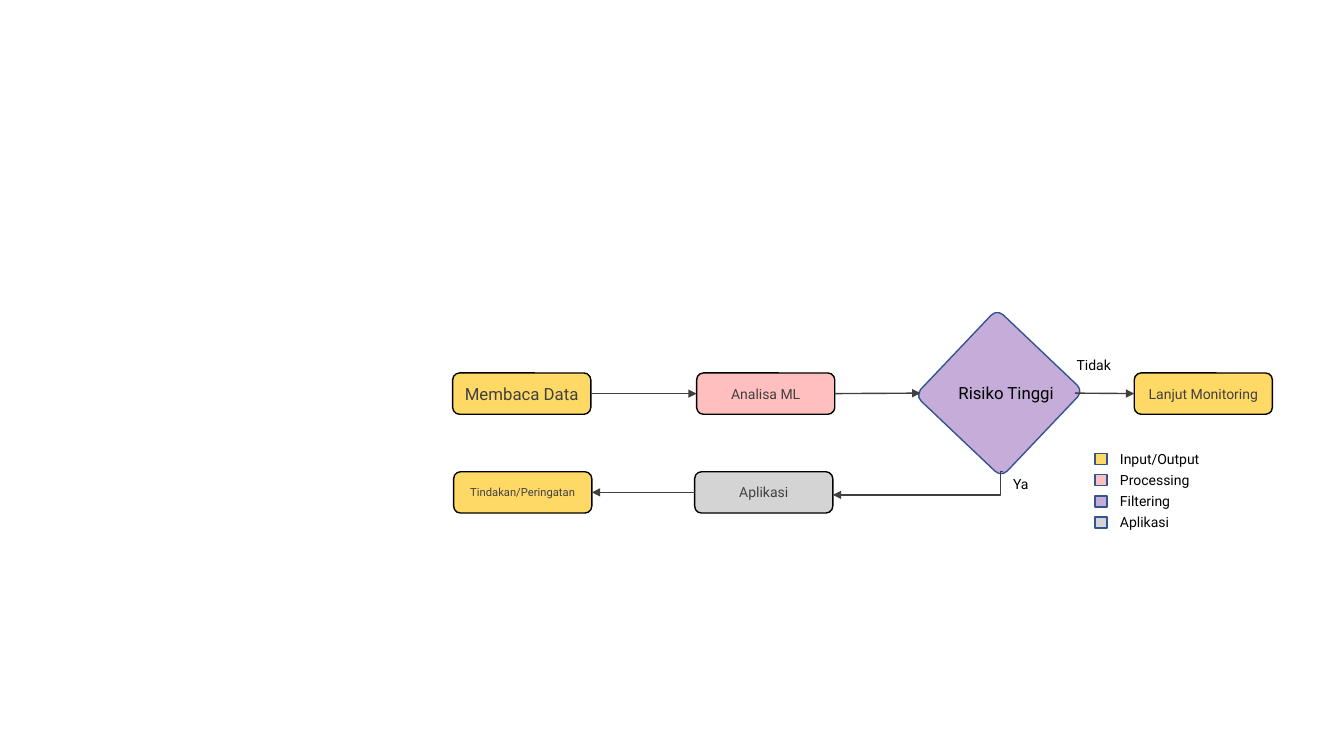
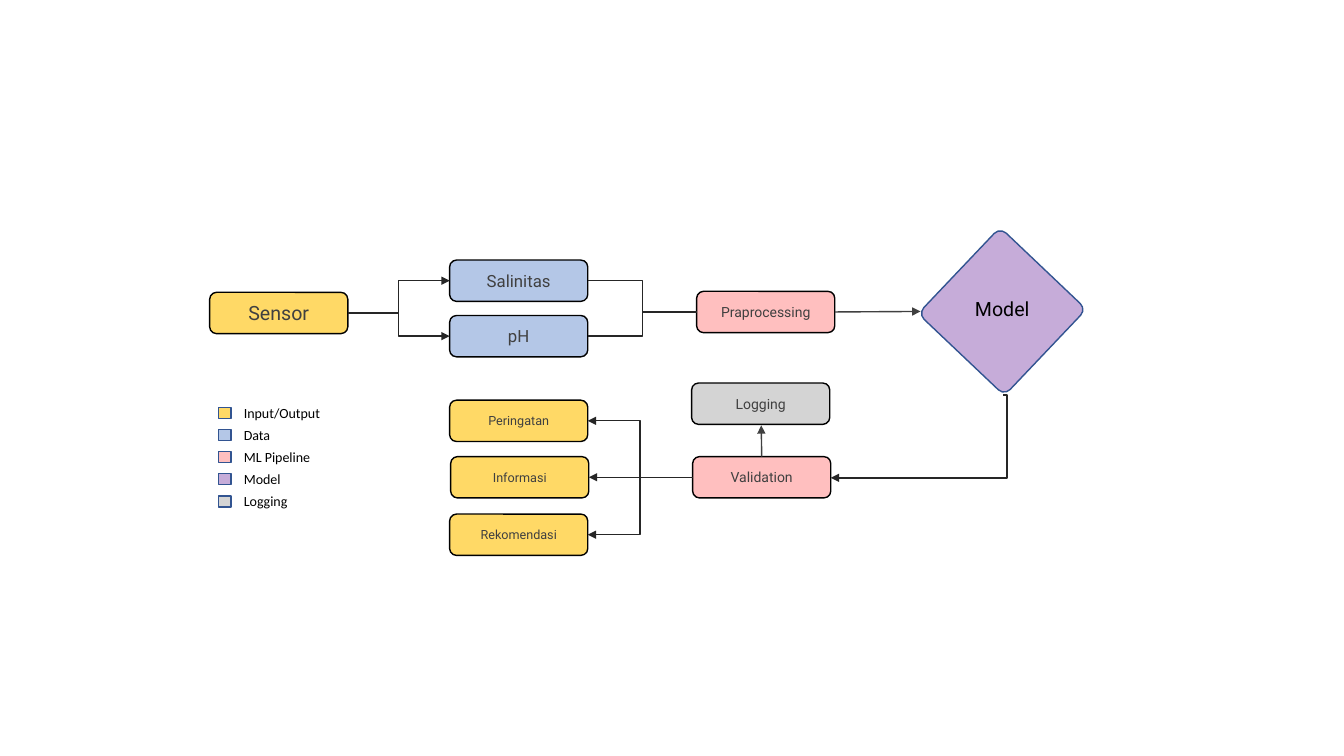
from dataclasses import dataclass

from lxml import etree
from pptx import Presentation
from pptx.dml.color import RGBColor
from pptx.enum.shapes import MSO_CONNECTOR, MSO_SHAPE
from pptx.enum.text import MSO_ANCHOR, PP_ALIGN
from pptx.oxml.ns import qn
from pptx.util import Inches, Pt

ROUNDED, SQUARE = MSO_SHAPE.ROUNDED_RECTANGLE, MSO_SHAPE.RECTANGLE
STRAIGHT, ELBOW = MSO_CONNECTOR.STRAIGHT, MSO_CONNECTOR.ELBOW
LEFT, CENTER, MIDDLE = PP_ALIGN.LEFT, PP_ALIGN.CENTER, MSO_ANCHOR.MIDDLE
# Connection sites of a rectangle
TOP_SITE, LEFT_SITE, RIGHT_SITE = 0, 1, 3


@dataclass(frozen=True)
class Theme:
    yellow: str = "FFD966"
    blue: str = "B4C7E7"
    pink: str = "FFBFBF"
    purple: str = "C6ACD9"
    grey: str = "D4D4D4"
    black: str = "000000"
    text: str = "404040"
    edge: str = "325491"
    arrow: str = "404040"
    branch: str = "262626"
    font: str = "Roboto"
    legend_font: str = "Calibri"
    tiny: int = 8
    small: int = 9
    body: int = 10
    large: int = 12
    huge: int = 14
    line: int = 1


T = Theme()
BOX_W, BOX_H = 1.37, 0.41
DIAMOND = 1.18


def block(s, x, y, fill, text="", size=T.body, w=BOX_W, h=BOX_H, line=T.black, geom=ROUNDED):
    """Add a filled, outlined shape with centred text."""
    sp = s.shapes.add_shape(geom, Inches(x), Inches(y), Inches(w), Inches(h))
    sp.shadow.inherit = False
    sp.fill.solid()
    sp.fill.fore_color.rgb = RGBColor.from_string(fill)
    sp.line.color.rgb = RGBColor.from_string(line)
    sp.line.width = Pt(T.line)
    if text:
        tf = sp.text_frame
        tf.margin_left = tf.margin_right = 0
        tf.vertical_anchor = MIDDLE
        p = tf.paragraphs[0]
        p.alignment = CENTER
        r = p.add_run()
        r.text = text
        r.font.name, r.font.size = T.font, Pt(size)
        r.font.color.rgb = RGBColor.from_string(T.text)
    return sp


def link(s, start, end, kind=STRAIGHT, color=T.arrow, head=True, bend=None):
    """Join two ends, each a (shape, site) pair or an (x, y) point in inches."""
    cxn = s.shapes.add_connector(kind, 0, 0, 0, 0)
    if isinstance(start[0], float):
        cxn.begin_x, cxn.begin_y = Inches(start[0]), Inches(start[1])
    else:
        cxn.begin_connect(*start)
    if isinstance(end[0], float):
        cxn.end_x, cxn.end_y = Inches(end[0]), Inches(end[1])
    else:
        cxn.end_connect(*end)
    cxn.line.color.rgb = RGBColor.from_string(color)
    cxn.line.width = Pt(T.line)
    props = cxn._element.spPr
    if head:
        etree.SubElement(cxn.line._get_or_add_ln(), qn("a:tailEnd"), type="triangle")
    if bend is not None:
        guides = props.find(qn("a:prstGeom")).get_or_add_avLst()
        etree.SubElement(guides, qn("a:gd"), name="adj1", fmla=f"val {bend}")
    etree.SubElement(props, qn("a:effectLst"))


prs = Presentation()
prs.slide_width, prs.slide_height = Inches(13.33), Inches(7.5)
blank = prs.slide_layouts[6]
risk = prs.slides.add_slide(blank)
pipeline = prs.slides.add_slide(blank)

# Decision diamonds
for s, x, y in ((risk, 9.32, 3.31), (pipeline, 9.35, 2.5)):
    sp = block(s, x, y, T.purple, w=DIAMOND, h=DIAMOND, line=T.edge)
    sp.adjustments[0] = 0.07
    sp.rotation = 133.5

# Slide 1: risk flow
read = block(risk, 4.49, 3.7, T.yellow, "Membaca Data", T.large)
analysis = block(risk, 6.91, 3.7, T.pink, "Analisa ML")
monitor = block(risk, 11.25, 3.7, T.yellow, "Lanjut Monitoring")
app = block(risk, 6.89, 4.68, T.grey, "Aplikasi")
action = block(risk, 4.5, 4.68, T.yellow, "Tindakan/Peringatan", T.tiny)

link(risk, (read, RIGHT_SITE), (analysis, LEFT_SITE))
link(risk, (analysis, RIGHT_SITE), (9.13, 3.9))
link(risk, (10.66, 3.9), (monitor, LEFT_SITE))
link(risk, (9.95, 4.68), (8.26, 4.91), ELBOW, bend=1500)
link(risk, (app, LEFT_SITE), (action, RIGHT_SITE))

# Slide 2: model pipeline
sensor = block(pipeline, 2.08, 2.9, T.yellow, "Sensor", T.huge)
prep = block(pipeline, 6.91, 2.89, T.pink, "Praprocessing")
validation = block(pipeline, 6.87, 4.53, T.pink, "Validation")
logging = block(pipeline, 6.86, 3.8, T.grey, "Logging")

for text, y in (("Salinitas", 2.58), ("pH", 3.13)):
    reading = block(pipeline, 4.46, y, T.blue, text, T.large)
    link(pipeline, (sensor, RIGHT_SITE), (reading, LEFT_SITE), ELBOW, T.branch)
    link(pipeline, (prep, LEFT_SITE), (reading, RIGHT_SITE), ELBOW, T.branch, head=False)

for text, x, y, kind in (("Peringatan", 4.46, 3.97, ELBOW),
                         ("Informasi", 4.47, 4.53, STRAIGHT),
                         ("Rekomendasi", 4.46, 5.1, ELBOW)):
    output = block(pipeline, x, y, T.yellow, text, T.small)
    link(pipeline, (validation, LEFT_SITE), (output, RIGHT_SITE), kind, T.branch)

link(pipeline, (prep, RIGHT_SITE), (9.13, 3.09))
link(pipeline, (9.95, 3.92), (8.24, 4.74), ELBOW, T.branch, bend=-2200)
link(pipeline, (validation, TOP_SITE), (7.55, 4.22))

# Free text: slide, text, left, top, width, height, size, font, alignment
labels = [
    (risk, "Risiko Tinggi", 9.3, 3.75, 1.36, 0.3, T.large, T.font, CENTER),
    (risk, "Ya", 9.95, 4.67, 0.56, 0.27, T.body, T.font, LEFT),
    (risk, "Tidak", 10.58, 3.49, 0.94, 0.27, T.body, T.font, LEFT),
    (pipeline, "Model", 9.49, 2.9, 0.9, 0.34, T.huge, T.font, CENTER),
]

# Legends: a swatch and its label in each row
legends = [
    (risk, 10.86, 4.5, 0.21, T.font,
     (("Input/Output", T.yellow), ("Processing", T.pink),
      ("Filtering", T.purple), ("Aplikasi", T.grey))),
    (pipeline, 2.17, 4.04, 0.22, T.legend_font,
     (("Input/Output", T.yellow), ("Data", T.blue), ("ML Pipeline", T.pink),
      ("Model", T.purple), ("Logging", T.grey))),
]
for s, x, top, step, font, rows in legends:
    for i, (text, fill) in enumerate(rows):
        y = top + i * step
        block(s, x, y, fill, w=0.12, h=0.11, line=T.edge, geom=SQUARE)
        labels.append((s, text, x + 0.15, y - 0.08, 1.15, 0.27, T.body, font, LEFT))

for s, text, x, y, w, h, size, font, align in labels:
    tf = s.shapes.add_textbox(Inches(x), Inches(y), Inches(w), Inches(h)).text_frame
    tf.word_wrap = True
    p = tf.paragraphs[0]
    p.alignment = align
    r = p.add_run()
    r.text = text
    r.font.name, r.font.size = font, Pt(size)
    r.font.color.rgb = RGBColor.from_string(T.black)

prs.save("out.pptx")
